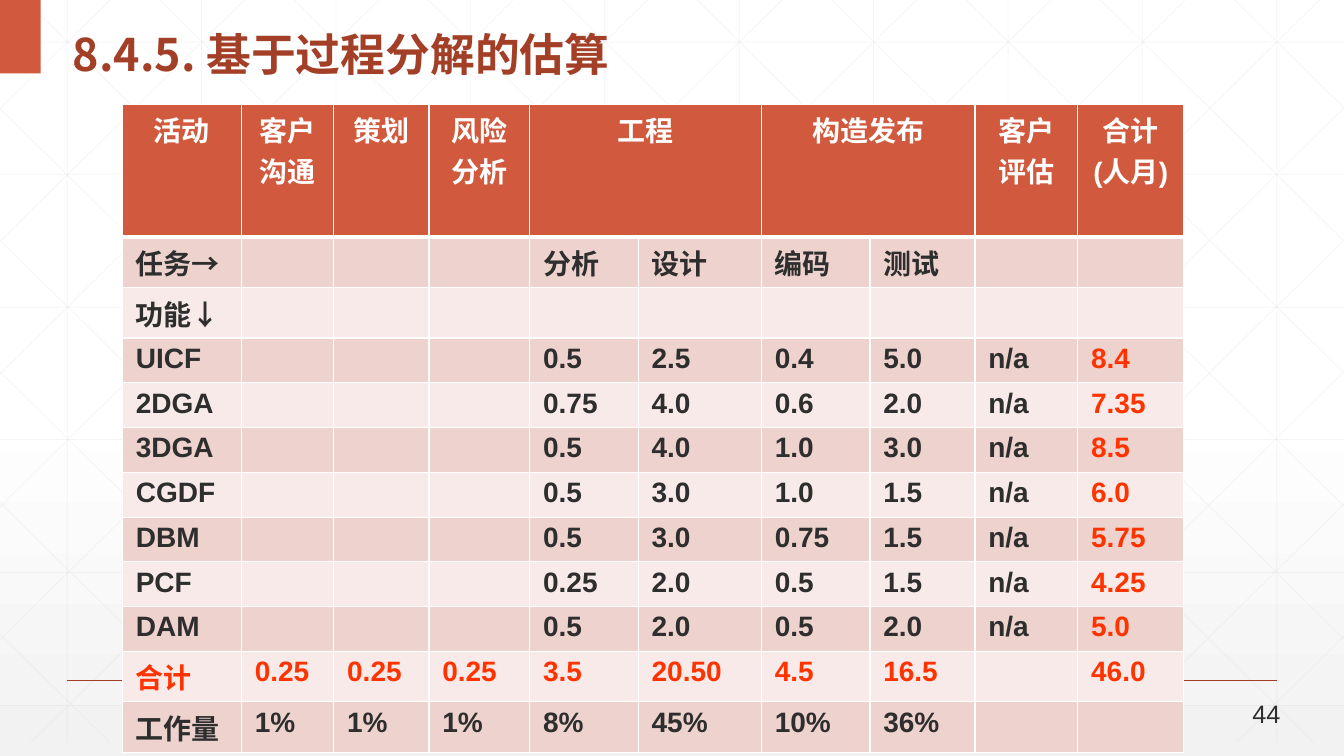
from dataclasses import dataclass

from lxml import etree
from pptx import Presentation
from pptx.dml.color import RGBColor
from pptx.enum.shapes import MSO_CONNECTOR, MSO_SHAPE
from pptx.enum.text import MSO_ANCHOR, PP_ALIGN
from pptx.oxml.ns import qn
from pptx.util import Pt

STRAIGHT, RECTANGLE = MSO_CONNECTOR.STRAIGHT, MSO_SHAPE.RECTANGLE
TOP, MIDDLE = MSO_ANCHOR.TOP, MSO_ANCHOR.MIDDLE
LEFT, CENTER = PP_ALIGN.LEFT, PP_ALIGN.CENTER
PX = 6350
PAGE = (0, 0, 1920, 1080)


@dataclass(frozen=True)
class Theme:
    """Colours, fonts and type sizes of the deck."""
    white: str = "FFFFFF"
    mist: str = "F2F2F2"
    grid: str = "D9D9D9"
    accent: str = "D15A3E"
    dark_accent: str = "A43F27"
    ink: str = "2D2E2D"
    alert: str = "FF3300"
    bands: tuple = ("EED2CE", "F7EAE8")
    latin: str = "Arial"
    asian: str = "Noto Sans CJK SC"
    title_size: int = 32
    table_size: int = 20
    number_size: int = 18


THEME = Theme()
COLUMN_WIDTHS = (170, 132, 136, 144, 155, 176, 155, 150, 147, 151)
HEADER_HEIGHT, LATIN_HEIGHT, ASIAN_HEIGHT = 190, 64, 72
HEADER = ("活动", "客户沟通", "策划", "风险分析", "工程", "", "构造发布", "", "客户评估", "合计(人月)")
MERGED_COLUMNS = ((4, 5), (6, 7))
TOTAL_LABEL = "合计"
FUNCTIONS = (
    ("UICF", "0.5", "2.5", "0.4", "5.0", "8.4"),
    ("2DGA", "0.75", "4.0", "0.6", "2.0", "7.35"),
    ("3DGA", "0.5", "4.0", "1.0", "3.0", "8.5"),
    ("CGDF", "0.5", "3.0", "1.0", "1.5", "6.0"),
    ("DBM", "0.5", "3.0", "0.75", "1.5", "5.75"),
    ("PCF", "0.25", "2.0", "0.5", "1.5", "4.25"),
    ("DAM", "0.5", "2.0", "0.5", "2.0", "5.0"),
)
BODY = (
    ("任务→", "", "", "", "分析", "设计", "编码", "测试", "", ""),
    ("功能↓",) + ("",) * 9,
    *((name, "", "", "", *efforts, "n/a", total) for name, *efforts, total in FUNCTIONS),
    (TOTAL_LABEL, "0.25", "0.25", "0.25", "3.5", "20.50", "4.5", "16.5", "", "46.0"),
    ("工作量", "1%", "1%", "1%", "8%", "45%", "10%", "36%", "", ""),
)
ROW_HEIGHTS = (HEADER_HEIGHT,
               *(LATIN_HEIGHT if row[0].isascii() else ASIAN_HEIGHT for row in BODY))


def emu(*lengths):
    """Turn px lengths into EMU."""
    return [round(length * PX) for length in lengths]


def write_text(frame, text, *, size, color, bold=False, latin=THEME.latin,
               align=LEFT, spacing=None):
    """Write one formatted paragraph into a text frame."""
    frame.word_wrap = True
    para = frame.paragraphs[0]
    para.alignment = align
    if spacing:
        para.line_spacing = spacing
    if not text:
        para.font.size = Pt(size)
        return
    span = para.add_run()
    span.text = text
    span.font.size, span.font.bold, span.font.name = Pt(size), bold, latin
    span.font.color.rgb = RGBColor.from_string(color)
    asian = etree.SubElement(span.font._element, qn("a:ea"))
    asian.set("typeface", THEME.asian)


def add_text_box(page, box, text, anchor, **style):
    """Place a text box in the given box."""
    frame = page.shapes.add_textbox(*emu(*box)).text_frame
    frame.vertical_anchor = anchor
    write_text(frame, text, **style)


def draw_line(shapes, start, end, color, width, opacity=100):
    """Draw a straight line without a shadow."""
    line = shapes.add_connector(STRAIGHT, *emu(*start, *end))
    line.line.width = Pt(width)
    line.line.color.rgb = RGBColor.from_string(color)
    etree.SubElement(line._element.spPr, qn("a:effectLst"))
    if opacity < 100:
        tint = line._element.spPr.find(".//" + qn("a:srgbClr"))
        etree.SubElement(tint, qn("a:alpha")).set("val", str(opacity * 1000))


def draw_lattice(page, box):
    """Draw the faint square and diagonal lines behind the content."""
    left, top, width, height = box
    bottom, run = 1061, 1073
    lines = [((x, 0), (x, bottom)) for x in range(96, width, 192)]
    lines += [((0, y), (width, y)) for y in (60 + i * 948 // 5 for i in range(6))]
    rays = [(36 + 192 * i, 0, 1) for i in range(10)]
    rays += [(917 - 190 * i, bottom, -1) for i in range(5)]
    rays += [(1885 - 192 * i, 0, -1) for i in range(10)]
    rays += [(1002 + 191 * i, bottom, 1) for i in range(5)]
    for x, y, direction in rays:
        reach = min(run, width - x if direction > 0 else x)
        rise = reach * bottom // run
        lines.append(((x, y), (x + direction * reach, y - rise if y else rise)))
    group = page.shapes.add_group_shape()
    for start, end in lines:
        start, end = ((left + x, top + y) for x, y in (start, end))
        draw_line(group.shapes, start, end, THEME.grid, 0.5, opacity=25)


def draw_backdrop(page, box):
    """Fill the background and draw the lattice, footer rule and corner block."""
    left, top, width, height = box
    fill = page.background.fill
    fill.gradient()
    fill.gradient_angle = 270
    for stop, place, color in zip(fill.gradient_stops, (0.53, 1), (THEME.white, THEME.mist)):
        stop.position = place
        stop.color.rgb = RGBColor.from_string(color)
    draw_lattice(page, box)
    rule = top + 972
    draw_line(page.shapes, (left + 96, rule), (left + width - 96, rule), THEME.dark_accent, 1)
    corner = page.shapes.add_shape(RECTANGLE, *emu(left, top, 58, 105))
    corner.shadow.inherit = False
    corner.fill.solid()
    corner.fill.fore_color.rgb = RGBColor.from_string(THEME.accent)
    corner.line.fill.background()


def format_cell(cell, fill, top_width, bottom_width):
    """Set the margins, white borders and fill of a table cell."""
    cell.margin_left, cell.margin_right, cell.margin_top, cell.margin_bottom = emu(19, 19, 7, 7)
    properties = cell._tc.get_or_add_tcPr()
    for side, width in (("L", 1), ("R", 1), ("T", top_width), ("B", bottom_width)):
        border = etree.SubElement(properties, qn("a:ln" + side), w=str(Pt(width)))
        paint = etree.SubElement(border, qn("a:solidFill"))
        etree.SubElement(paint, qn("a:srgbClr"), val=THEME.white)
    cell.fill.solid()
    cell.fill.fore_color.rgb = RGBColor.from_string(fill)


def draw_estimate_table(page, box):
    """Place the effort table in the given box."""
    rows = (HEADER, *BODY)
    table = page.shapes.add_table(len(rows), len(HEADER), *emu(*box)).table
    table.horz_banding = False
    for column, width in zip(table.columns, emu(*COLUMN_WIDTHS)):
        column.width = width
    for row, height in zip(table.rows, emu(*ROW_HEIGHTS)):
        row.height = height
    for r, values in enumerate(rows):
        is_header = r == 0
        fill = THEME.accent if is_header else THEME.bands[(r - 1) % 2]
        for c, value in enumerate(values):
            cell = table.cell(r, c)
            format_cell(cell, fill, 3 if r == 1 else 1, 3 if is_header else 1)
            is_total = values[0] == TOTAL_LABEL or c == len(HEADER) - 1
            body_color = THEME.alert if is_total else THEME.ink
            write_text(cell.text_frame, value, size=THEME.table_size, bold=True,
                       color=THEME.white if is_header else body_color,
                       align=CENTER if is_header else LEFT)
    for first, last in MERGED_COLUMNS:
        table.cell(0, first).merge(table.cell(0, last))


def build_estimate_page(deck, box):
    """Build the page with its title, number and effort table."""
    left, top, width, height = box
    page = deck.slides.add_slide(deck.slide_layouts[6])
    draw_backdrop(page, box)
    add_text_box(page, (left + 90, top + 13, 1626, 105), "8.4.5. 基于过程分解的估算", MIDDLE,
                 size=THEME.title_size, color=THEME.dark_accent, bold=True,
                 latin=THEME.asian, spacing=1.3)
    add_text_box(page, (left + 1775, top + 991, 145, 35), "44", TOP,
                 size=THEME.number_size, color=THEME.ink)
    draw_estimate_table(page, (left + 175, top + 149, sum(COLUMN_WIDTHS), sum(ROW_HEIGHTS)))


def main():
    """Create and save the deck."""
    deck = Presentation()
    deck.slide_width, deck.slide_height = emu(*PAGE[2:])
    build_estimate_page(deck, PAGE)
    deck.save("out.pptx")


if __name__ == "__main__":
    main()
